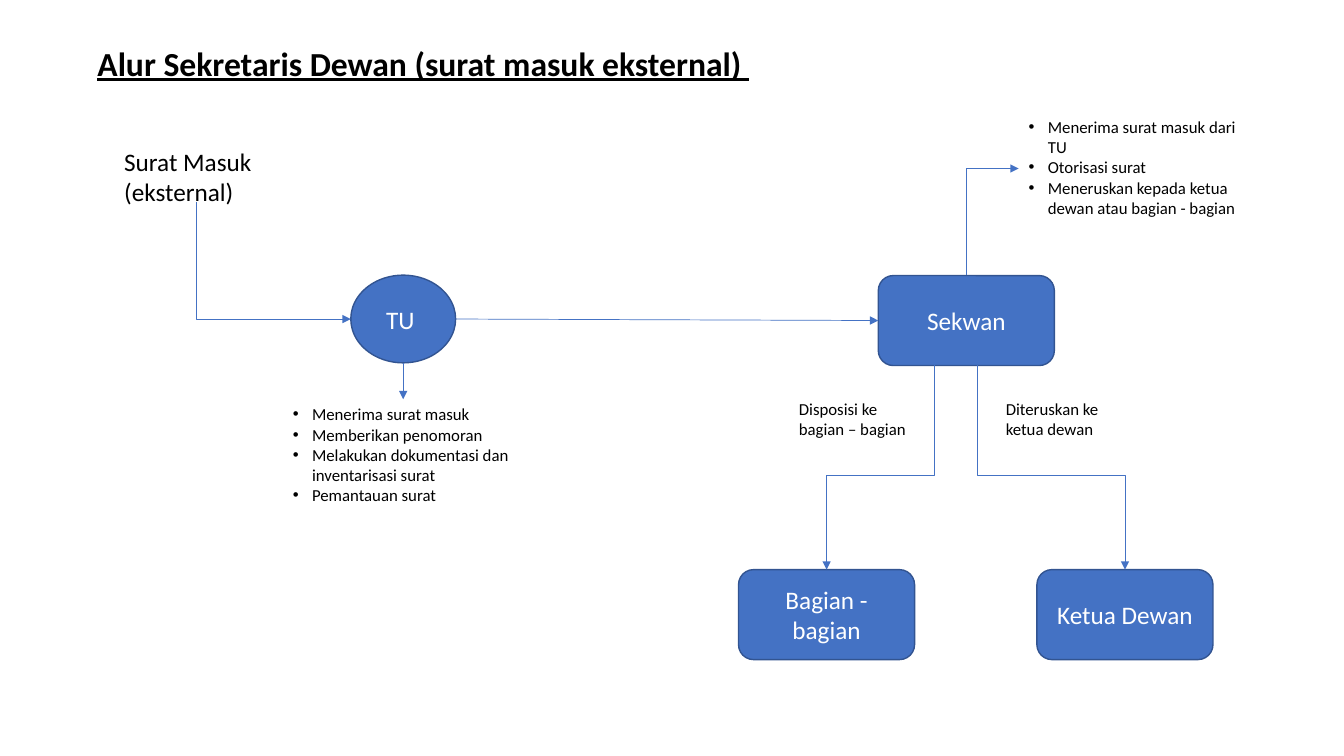
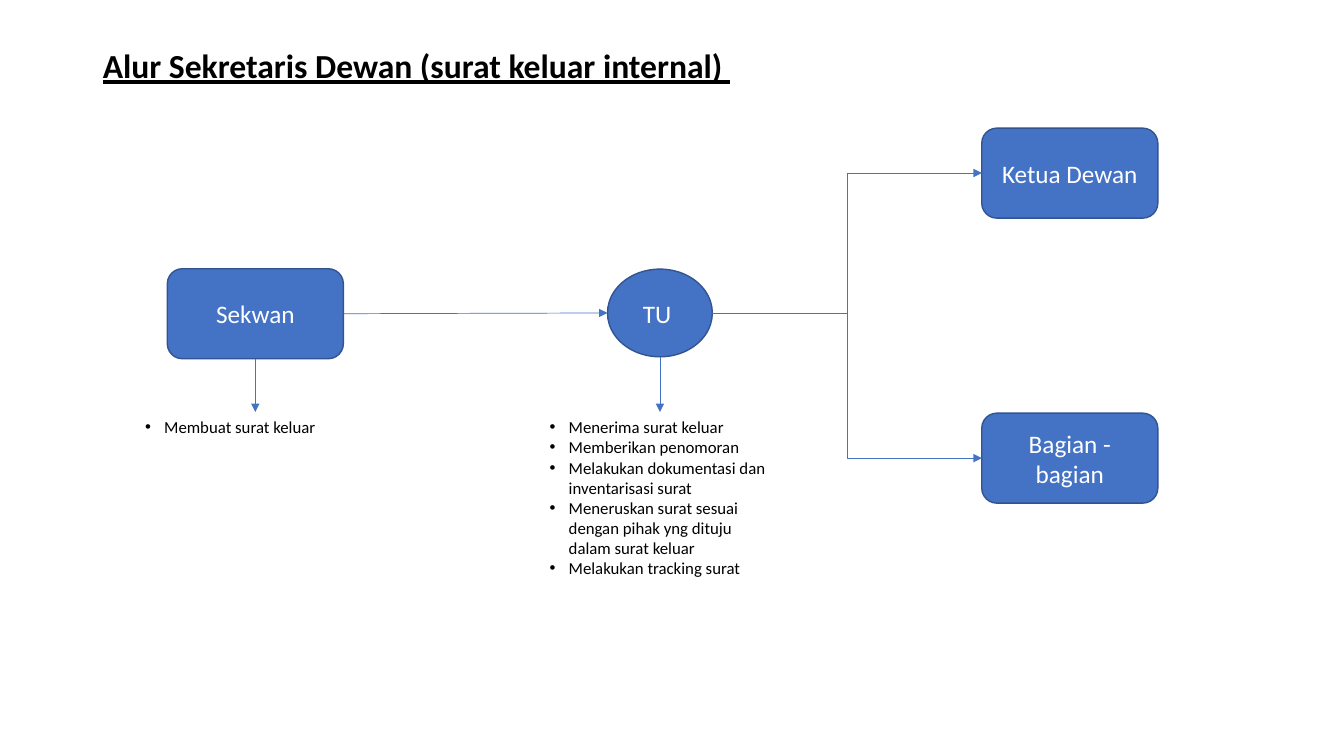
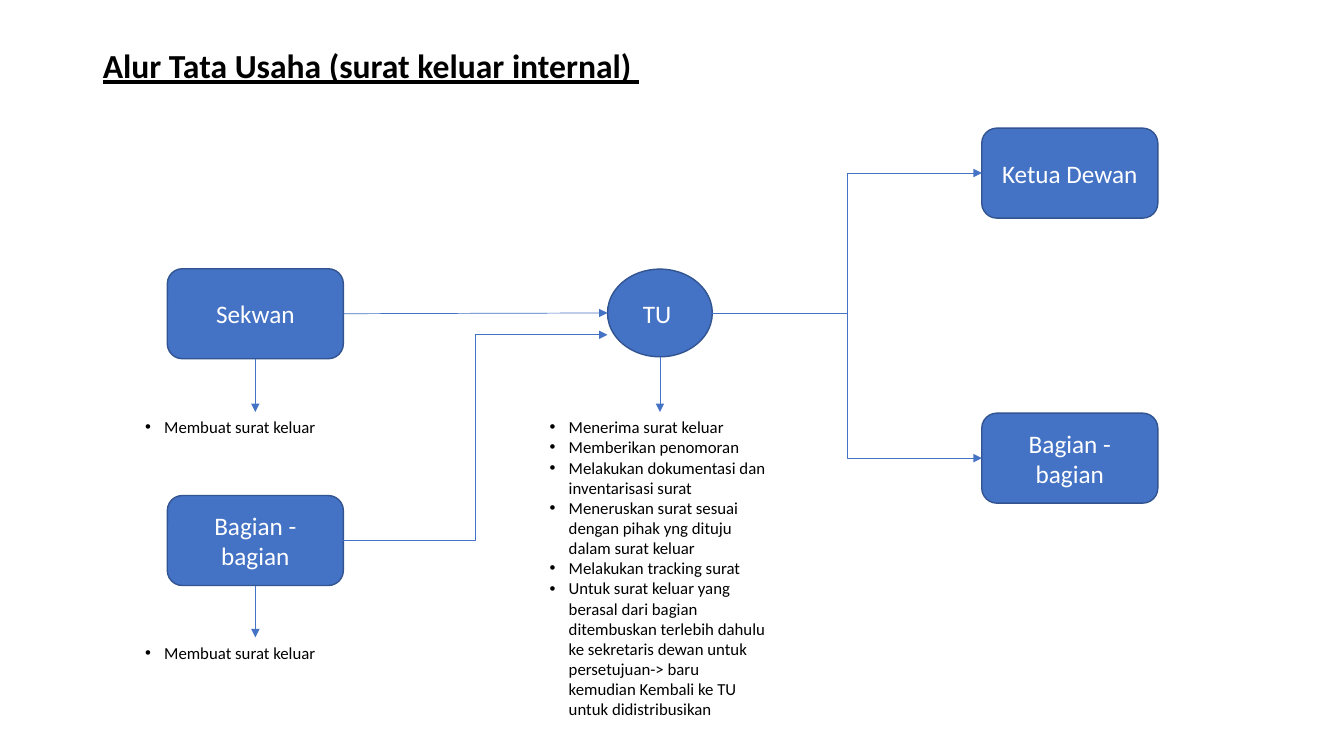
from lxml.etree import SubElement
from pptx import Presentation
from pptx.dml.color import RGBColor
from pptx.enum.shapes import MSO_CONNECTOR as Connector, MSO_SHAPE as Preset
from pptx.enum.text import MSO_ANCHOR as Anchor, MSO_AUTO_SIZE as AutoSize, PP_ALIGN as Align
from pptx.oxml.ns import qn
from pptx.util import Emu, Inches, Pt

BLUE = RGBColor(0x44, 0x72, 0xC4)
OUTLINE = RGBColor(0x32, 0x54, 0x91)
BLACK = RGBColor(0, 0, 0)
WHITE = RGBColor(0xFF, 0xFF, 0xFF)
FONT = "Calibri"

WIDTH, HEIGHT = Inches(13.33), Inches(7.5)
COLUMN, ROW = WIDTH / 100, HEIGHT / 100
BOX_SIZE = (13.1, 11.9)
OVAL_SIZE = (7.8, 11.6)
LIST_WIDTH = 17.9
INDENT = Inches(0.19)

OUTGOING_DUTIES = [
    "Menerima surat keluar",
    "Memberikan penomoran",
    "Melakukan dokumentasi dan inventarisasi surat",
    "Meneruskan surat sesuai dengan pihak yng dituju dalam surat keluar",
    "Melakukan tracking surat",
]
APPROVAL_DUTY = (
    "Untuk surat keluar yang berasal dari bagian ditembuskan terlebih dahulu ke "
    "sekretaris dewan untuk persetujuan-> baru kemudian Kembali ke TU untuk didistribusikan"
)


def grid(column, row):
    """Turn a grid position or size into slide lengths."""
    return Emu(round(column * COLUMN)), Emu(round(row * ROW))


def set_font(paragraph, size, color):
    """Give a paragraph the deck's font."""
    font = paragraph.font
    font.name, font.size = FONT, Pt(size)
    font.color.rgb = color
    return font


def add_titled_slide(presentation, title, left, top):
    """Add a title-only slide with an underlined title."""
    slide = presentation.slides.add_slide(presentation.slide_layouts[5])
    shape = slide.shapes.title
    shape.left, shape.top = grid(left, top)
    shape.width, shape.height = grid(86.3, 9.3)
    shape.text_frame.text = title
    shape.text_frame.vertical_anchor = Anchor.MIDDLE
    paragraph = shape.text_frame.paragraphs[0]
    paragraph.alignment, paragraph.line_spacing = Align.LEFT, 0.9
    font = set_font(paragraph, 24, BLACK)
    font.bold = font.underline = True
    return slide


def add_node(slide, text, center, row, preset=Preset.ROUNDED_RECTANGLE, size=BOX_SIZE):
    """Add a blue node around a grid point."""
    width, height = size
    shape = slide.shapes.add_shape(
        preset, *grid(center - width / 2, row - height / 2), *grid(width, height))
    shape.shadow.inherit = False
    shape.fill.solid()
    shape.fill.fore_color.rgb = BLUE
    shape.line.color.rgb, shape.line.width = OUTLINE, Pt(1)
    shape.text_frame.text = text
    shape.text_frame.vertical_anchor = Anchor.MIDDLE
    paragraph = shape.text_frame.paragraphs[0]
    paragraph.alignment = Align.CENTER
    set_font(paragraph, 18, WHITE)
    return shape


def add_office(slide, center, row):
    """Add the oval node of the administration office."""
    return add_node(slide, "TU ", center, row, Preset.OVAL, OVAL_SIZE)


def side(shape, across, down):
    """Find the point at the given shares of a shape's size."""
    return (Emu(round(shape.left + across * shape.width)),
            Emu(round(shape.top + down * shape.height)))


def top_of(shape):
    """Find the middle of the top edge."""
    return side(shape, 0.5, 0)


def bottom_of(shape):
    """Find the middle of the bottom edge."""
    return side(shape, 0.5, 1)


def left_of(shape):
    """Find the middle of the left edge."""
    return side(shape, 0, 0.5)


def right_of(shape):
    """Find the middle of the right edge."""
    return side(shape, 1, 0.5)


def add_text(slide, items, position, width, lines, size=12, bullets=False):
    """Add a wrapped text box tall enough for its lines."""
    height = lines * size * 0.224 + 1.33
    box = slide.shapes.add_textbox(*position, *grid(width, height))
    frame = box.text_frame
    frame.word_wrap, frame.auto_size = True, AutoSize.SHAPE_TO_FIT_TEXT
    for index, item in enumerate(items):
        paragraph = frame.add_paragraph() if index else frame.paragraphs[0]
        paragraph.text = item
        if bullets:
            properties = paragraph._p.get_or_add_pPr()
            properties.set("marL", str(INDENT))
            properties.set("indent", str(-INDENT))
            SubElement(properties, qn("a:buFont")).set("typeface", "Arial")
            SubElement(properties, qn("a:buChar")).set("char", "•")
        set_font(paragraph, size, BLACK)
    return box


def style_arrow(connector):
    """Give a connector a thin blue line with a triangle at its end."""
    connector.line.color.rgb, connector.line.width = BLUE, Pt(0.5)
    line = connector.line._get_or_add_ln()
    SubElement(line, qn("a:tailEnd")).set("type", "triangle")
    SubElement(connector._element.spPr, qn("a:effectLst"))


def add_arrow(slide, start, end, kind=Connector.STRAIGHT):
    """Add an arrow; an elbow leaves its start sideways."""
    connector = slide.shapes.add_connector(kind, *start, *end)
    style_arrow(connector)
    return connector


def add_vertical_elbow(slide, start, end, bend=None):
    """Add an elbow arrow leaving up or down, with one corner unless a bend is given."""
    across, down = end[0] - start[0], end[1] - start[1]
    turn = -1 if across > 0 and down > 0 else 1
    middle_x, middle_y = (start[0] + end[0]) / 2, (start[1] + end[1]) / 2
    reach, spread = turn * down / 2, turn * across / 2
    connector = add_arrow(
        slide,
        (Emu(round(middle_x - reach)), Emu(round(middle_y + spread))),
        (Emu(round(middle_x + reach)), Emu(round(middle_y - spread))),
        Connector.ELBOW)
    properties = connector._element.spPr
    properties.find(qn("a:xfrm")).set("rot", str(turn * 90 % 360 * 60000))
    geometry = properties.find(qn("a:prstGeom"))
    if bend is None:
        geometry.set("prst", "bentConnector2")
    else:
        guide = SubElement(geometry.find(qn("a:avLst")), qn("a:gd"))
        guide.set("name", "adj1")
        guide.set("fmla", f"val {round(bend * 100000)}")


def add_duties(slide, node, row, items, lines):
    """Add a bulleted list below a node and an arrow down to it."""
    start = bottom_of(node)
    list_width, list_top = grid(LIST_WIDTH, row)
    position = (Emu(start[0] - list_width // 2), list_top)
    add_text(slide, items, position, LIST_WIDTH, lines, bullets=True)
    add_arrow(slide, start, (start[0], list_top))


def build_incoming(presentation):
    """Build the flow of external incoming letters."""
    slide = add_titled_slide(
        presentation, "Alur Sekretaris Dewan (surat masuk eksternal) ", 6.5, 4)
    office = add_office(slide, 30, 42.2)
    secretary = add_node(slide, "Sekwan", 71.9, 42.4)
    sections = add_node(slide, "Bagian - bagian", 61.5, 81.3)
    chair = add_node(slide, "Ketua Dewan", 83.7, 81.3)

    add_text(slide, ["Surat Masuk (eksternal)"], grid(8.5, 18.7), 13.1, 2, size=18)
    add_text(slide, ["Disposisi ke bagian – bagian"], grid(58.7, 52.1), 10.4, 2)
    add_text(slide, ["Diteruskan ke ketua dewan"], grid(74.1, 52.1), 11.1, 2)
    add_text(slide, [
        "Menerima surat masuk dari TU",
        "Otorisasi surat",
        "Meneruskan kepada ketua dewan atau bagian - bagian",
    ], grid(75.8, 14.8), LIST_WIDTH, 5, bullets=True)
    add_duties(slide, office, 52.8, [
        "Menerima surat masuk",
        "Memberikan penomoran",
        "Melakukan dokumentasi dan inventarisasi surat",
        "Pemantauan surat",
    ], 5)

    add_arrow(slide, right_of(office), left_of(secretary))
    add_vertical_elbow(slide, grid(14.6, 26.7), left_of(office))
    add_vertical_elbow(slide, top_of(secretary), grid(75.8, 22.3))
    add_vertical_elbow(slide, side(secretary, 0.32, 1), top_of(sections), 0.54)
    add_vertical_elbow(slide, side(secretary, 0.56, 1), top_of(chair), 0.54)


def build_outgoing(presentation, title, duties, lines):
    """Build the flow of internal outgoing letters."""
    slide = add_titled_slide(presentation, title, 6.9, 4.3)
    secretary = add_node(slide, "Sekwan", 19, 41.5)
    office = add_office(slide, 49.1, 41.4)
    add_arrow(slide, right_of(secretary), left_of(office))
    for receiver, row in (("Ketua Dewan", 22.9), ("Bagian - bagian", 60.6)):
        node = add_node(slide, receiver, 79.6, row)
        add_arrow(slide, right_of(office), left_of(node), Connector.ELBOW)
    add_duties(slide, office, 54.5, duties, lines)
    add_duties(slide, secretary, 54.5, ["Membuat surat keluar"], 1)
    return slide, office


def add_sending_sections(slide, office):
    """Add the sections as a second sender to the office."""
    sections = add_node(slide, "Bagian - bagian", 19, 71.5)
    add_duties(slide, sections, 84.3, ["Membuat surat keluar"], 1)
    add_arrow(slide, right_of(sections), side(office, 0, 0.75), Connector.ELBOW)


def main():
    """Build and save the deck."""
    presentation = Presentation()
    presentation.slide_width, presentation.slide_height = WIDTH, HEIGHT
    build_incoming(presentation)
    build_outgoing(
        presentation, "Alur Sekretaris Dewan (surat keluar internal) ", OUTGOING_DUTIES, 8)
    slide, office = build_outgoing(
        presentation, "Alur Tata Usaha (surat keluar internal) ",
        OUTGOING_DUTIES + [APPROVAL_DUTY], 15)
    add_sending_sections(slide, office)
    presentation.save("out.pptx")


if __name__ == "__main__":
    main()
